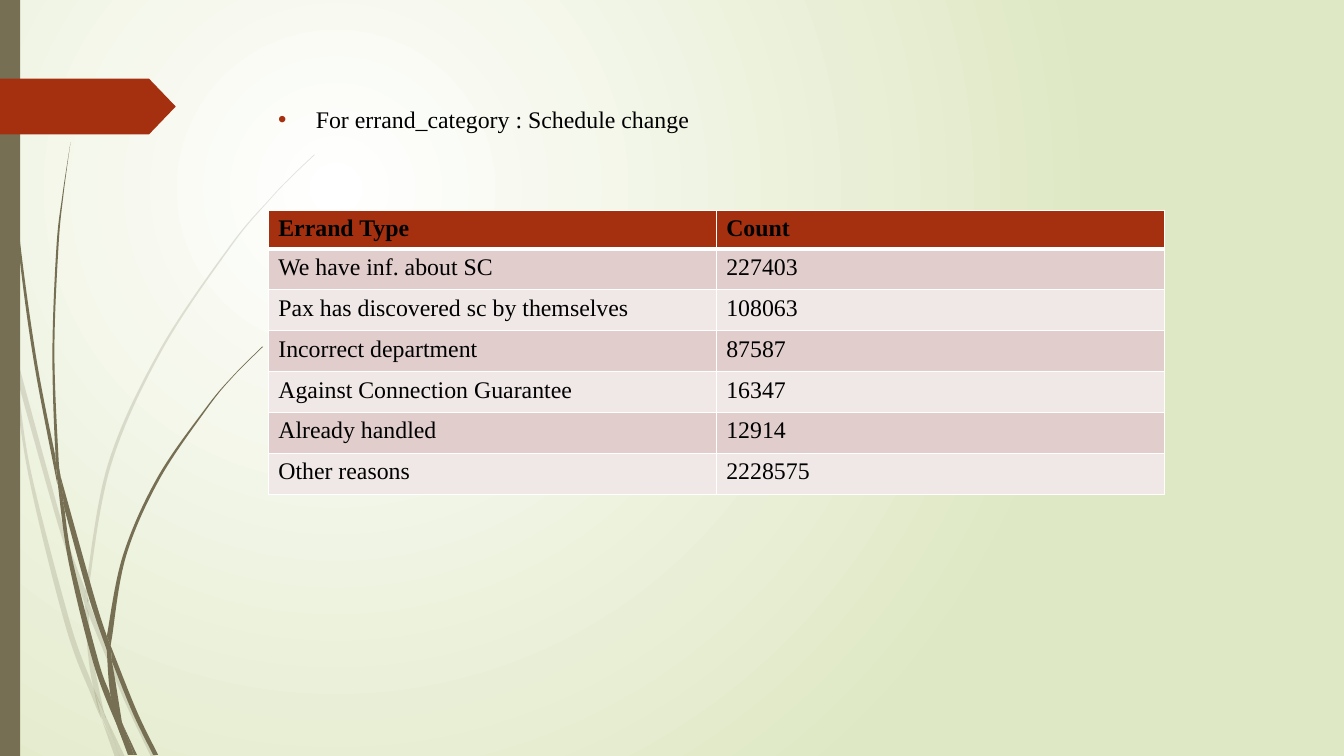
from lxml.etree import SubElement
from pptx import Presentation
from pptx.dml.color import RGBColor
from pptx.enum.shapes import MSO_SHAPE
from pptx.oxml.ns import qn
from pptx.util import Cm, Pt

WHITE = RGBColor(0xFF, 0xFF, 0xFF)
BLACK = RGBColor(0x00, 0x00, 0x00)
PALE_GREEN = RGBColor(0xDF, 0xE8, 0xC4)
OLIVE = RGBColor(0x76, 0x6F, 0x54)
RUST = RGBColor(0xA5, 0x30, 0x10)
ROSE = RGBColor(0xE1, 0xCD, 0xCC)
PALE_ROSE = RGBColor(0xF0, 0xE8, 0xE7)

BODY_FONT = {"name": "Times New Roman", "size": Pt(17), "bold": False}
HEADER_FONT = {**BODY_FONT, "bold": True}
BULLET_PARAGRAPH = {"marL": Cm(0.95), "indent": Cm(-0.95)}

ROWS = [
    ("Errand Type", "Count"),
    ("We have inf. about SC", "227403"),
    ("Pax has discovered sc by themselves", "108063"),
    ("Incorrect department", "87587"),
    ("Against Connection Guarantee", "16347"),
    ("Already handled", "12914"),
    ("Other reasons", "2228575"),
]

STEM_UNIT = Cm(2.54)
FAINT_STEMS = [
    ([(0, 2.82), (0.09, 3.22), (0.11, 3.5)], [(0, 2.99), (0.1, 3.44), (0.11, 3.5)]),
    ([(0.14, 3.45), (0.62, 5.2), (0.85, 5.86)], [(0.17, 3.76), (0.58, 5.22), (0.84, 5.99)]),
    ([(0.88, 5.96), (0.92, 6.07), (1.27, 6.92), (1.55, 7.51)],
     [(0.88, 6.1), (1.23, 6.94), (1.5, 7.51)]),
    ([(1.05, 7.11), (1.24, 7.51)], [(1.05, 7.11), (1.19, 7.51)]),
    ([(0.11, 3.5), (0.17, 3.76), (0.31, 4.69), (0.7, 6.19), (0.93, 6.83), (1.01, 7.14)],
     [(0.11, 3.5), (0.28, 4.7), (0.65, 6.21), (0.92, 6.93), (1.01, 7.14)]),
    ([(0.84, 5.99), (0.87, 6.46), (0.93, 6.83), (1.05, 7.11)],
     [(0.88, 6.08), (0.91, 6.46), (1.03, 7.06), (1.05, 7.11)]),
    ([(3.12, 1.53), (2.89, 1.75), (2.68, 1.97), (2.28, 2.44), (1.58, 3.48),
      (1.07, 4.61), (0.85, 5.84), (0.85, 5.86)],
     [(3.12, 1.54), (2.9, 1.75), (2.68, 1.98), (2.29, 2.45), (1.6, 3.49),
      (1.1, 4.62), (0.88, 5.84), (0.88, 5.96)]),
    ([(1.01, 7.14), (1.14, 7.51)], [(1.01, 7.14), (1.19, 7.51)]),
    ([(0.85, 5.86), (0.84, 5.99)], [(0.88, 5.96), (0.88, 6.1)]),
    ([(0.93, 6.83), (0.99, 7.07), (1.19, 7.51)], [(0.93, 6.83), (1.05, 7.11), (1.19, 7.51)]),
]
DARK_STEMS = [
    ([(0.03, 0), (0.04, 0.48), (0.07, 1.1), (0.17, 2.33), (0.33, 3.55), (0.57, 4.81)],
     [(0.04, 0), (0.05, 0.48), (0.08, 1.09), (0.19, 2.32), (0.36, 3.55), (0.55, 4.53)]),
    ([(0.6, 4.72), (0.93, 5.9), (1.06, 6.31)],
     [(0.64, 5.05), (0.88, 5.92), (1.06, 6.45)]),
    ([(1.1, 6.41), (1.36, 7.06), (1.57, 7.49)], [(1.11, 6.56), (1.32, 7.08), (1.52, 7.49)]),
    ([(0.57, 4.77), (0.68, 5.57), (0.93, 6.59), (1.17, 7.22)],
     [(0.64, 5.05), (0.72, 5.56), (0.98, 6.57), (1.1, 6.91), (1.17, 7.22)]),
    ([(0.7, 1.41), (0.62, 1.93), (0.56, 2.45), (0.52, 3.49), (0.55, 4.49), (0.6, 4.72)],
     [(0.7, 1.41), (0.63, 1.93), (0.58, 2.45), (0.54, 3.49), (0.58, 4.53), (0.6, 4.72)]),
    ([(1.22, 7.19), (1.36, 7.49)], [(1.22, 7.19), (1.33, 7.49)]),
    ([(0.55, 4.49), (0.57, 4.77), (0.64, 5.05)], [(0.55, 4.49), (0.6, 4.72), (0.64, 5.05)]),
    ([(2.6, 3.44), (2.31, 3.73), (2.04, 4.05), (1.56, 4.74), (1.22, 5.51), (1.06, 6.31)],
     [(2.61, 3.44), (2.31, 3.74), (2.05, 4.06), (1.58, 4.76), (1.25, 5.52),
      (1.11, 6.33), (1.1, 6.41)]),
    ([(1.17, 7.22), (1.27, 7.49)], [(1.17, 7.22), (1.31, 7.49)]),
    ([(1.06, 6.45), (1.1, 6.91), (1.22, 7.19)],
     [(1.06, 6.45), (1.11, 6.56), (1.21, 7.16), (1.22, 7.19)]),
    ([(1.06, 6.31), (1.06, 6.45)], [(1.1, 6.41), (1.11, 6.56)]),
    ([(1.1, 6.91), (1.17, 7.22), (1.3, 7.49)], [(1.1, 6.91), (1.22, 7.19), (1.33, 7.49)]),
]


def set_values(obj, values):
    for name, value in values.items():
        setattr(obj, name, value)


def add_text(p, text, font):
    r = p.add_run()
    r.text = text
    set_values(r.font, font)
    r.font.color.rgb = BLACK


def paint(sp, color):
    sp.shadow.inherit = False
    sp.fill.solid()
    sp.fill.fore_color.rgb = color
    sp.line.fill.background()


def set_background(slide):
    fill = slide.background.fill
    fill.gradient()
    for stop, color, position in zip(fill.gradient_stops, (WHITE, PALE_GREEN), (0, 1)):
        stop.color.rgb = color
        stop.position = position
    grad = slide._element.find(".//" + qn("a:gradFill"))
    grad.remove(grad.find(qn("a:lin")))
    circle = SubElement(grad, qn("a:path"), path="circle")
    SubElement(circle, qn("a:fillToRect"), l="50000", t="50000", r="100000", b="100000")


def bend_edge(segments, points):
    padded = [points[0], *points, points[-1]]
    for segment, a, b, c, d in zip(segments, padded, padded[1:], padded[2:], padded[3:]):
        leave = [q + (r - p) / 6 for p, q, r in zip(a, b, c)]
        arrive = [q - (r - p) / 6 for p, q, r in zip(b, c, d)]
        segment.tag = qn("a:cubicBezTo")
        for i, (x, y) in enumerate((leave, arrive)):
            pt = SubElement(segment, qn("a:pt"), x=str(round(x)), y=str(round(y)))
            segment.insert(i, pt)


def add_stem(slide, left_edge, right_edge, opacity=100):
    outline = [(x * STEM_UNIT, y * STEM_UNIT) for x, y in left_edge + right_edge[::-1]]
    builder = slide.shapes.build_freeform(*outline[0])
    builder.add_line_segments(outline[1:], close=True)
    sp = builder.convert_to_shape()
    paint(sp, OLIVE)
    segments = list(sp._element.iter(qn("a:lnTo")))
    points = [(int(pt.get("x")), int(pt.get("y"))) for pt in sp._element.iter(qn("a:pt"))]
    turn = len(left_edge)
    end = len(outline)
    bend_edge(segments[:turn - 1], points[:turn])
    bend_edge(segments[turn:end - 1], points[turn:end])
    if opacity < 100:
        color = sp._element.spPr.find(qn("a:solidFill"))[0]
        SubElement(color, qn("a:alpha"), val=str(opacity * 1000))


def add_block(slide, kind, left, top, width, height, color):
    sp = slide.shapes.add_shape(kind, left, top, width, height)
    paint(sp, color)
    return sp


def add_bullet(slide, text):
    tf = slide.shapes.add_textbox(Cm(6.76), Cm(2.51), Cm(24.77), Cm(1.6)).text_frame
    tf.word_wrap = True
    p = tf.paragraphs[0]
    p.space_before = Pt(10)
    pPr = p._p.get_or_add_pPr()
    for name, value in BULLET_PARAGRAPH.items():
        pPr.set(name, str(value))
    SubElement(SubElement(pPr, qn("a:buClr")), qn("a:srgbClr"), val=str(RUST))
    SubElement(pPr, qn("a:buFont"), typeface="Arial")
    SubElement(pPr, qn("a:buChar"), char="•")
    add_text(p, text, BODY_FONT)


def add_borders(cell, widths):
    tcPr = cell._tc.get_or_add_tcPr()
    for side, width in widths.items():
        ln = SubElement(tcPr, qn(f"a:ln{side}"), w=str(Pt(width)))
        SubElement(SubElement(ln, qn("a:solidFill")), qn("a:srgbClr"), val=str(WHITE))


def add_errand_table(slide):
    table = slide.shapes.add_table(
        len(ROWS), 2, Cm(6.76), Cm(5.3), Cm(22.58), Cm(7.16)).table
    for i, values in enumerate(ROWS):
        table.rows[i].height = Cm(1.03 if i else 0.9)
        color = (ROSE if i % 2 else PALE_ROSE) if i else RUST
        for j, value in enumerate(values):
            cell = table.cell(i, j)
            add_borders(cell, {"L": 1, "R": 1, "T": 1, "B": 1 if i else 3})
            cell.fill.solid()
            cell.fill.fore_color.rgb = color
            add_text(cell.text_frame.paragraphs[0], value, BODY_FONT if i else HEADER_FONT)


def main():
    prs = Presentation()
    set_values(prs, {"slide_width": Cm(33.87), "slide_height": Cm(19.05)})
    slide = prs.slides.add_slide(prs.slide_layouts[6])
    set_background(slide)
    for edges in FAINT_STEMS:
        add_stem(slide, *edges, opacity=20)
    for edges in DARK_STEMS:
        add_stem(slide, *edges)
    add_block(slide, MSO_SHAPE.RECTANGLE, 0, 0, Cm(0.51), prs.slide_height, OLIVE)
    arrow = add_block(slide, MSO_SHAPE.PENTAGON, 0, Cm(1.98), Cm(4.43), Cm(1.41), RUST)
    arrow.adjustments[0] = 0.48
    add_bullet(slide, "For errand_category : Schedule change")
    add_errand_table(slide)
    prs.save("out.pptx")


if __name__ == "__main__":
    main()
